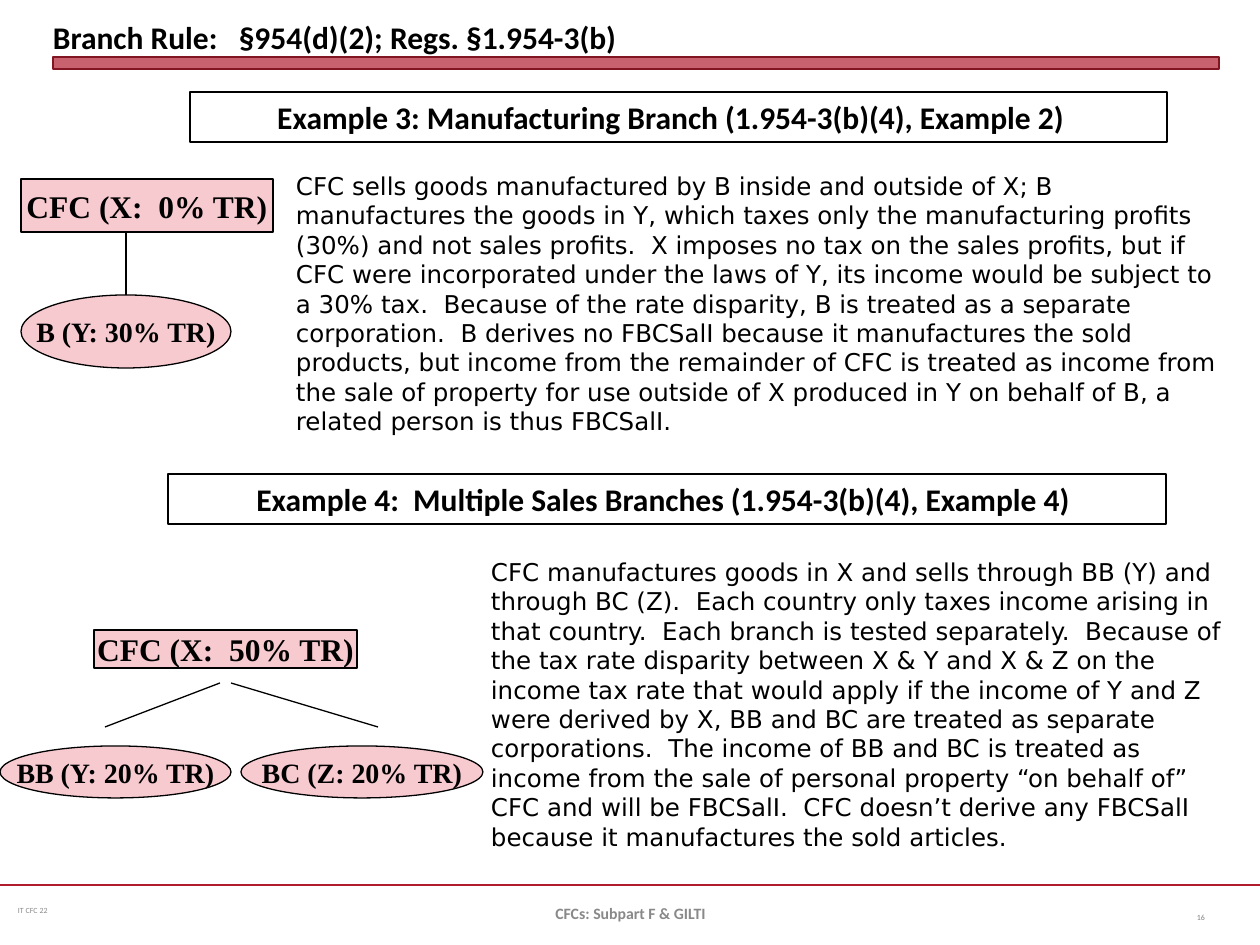
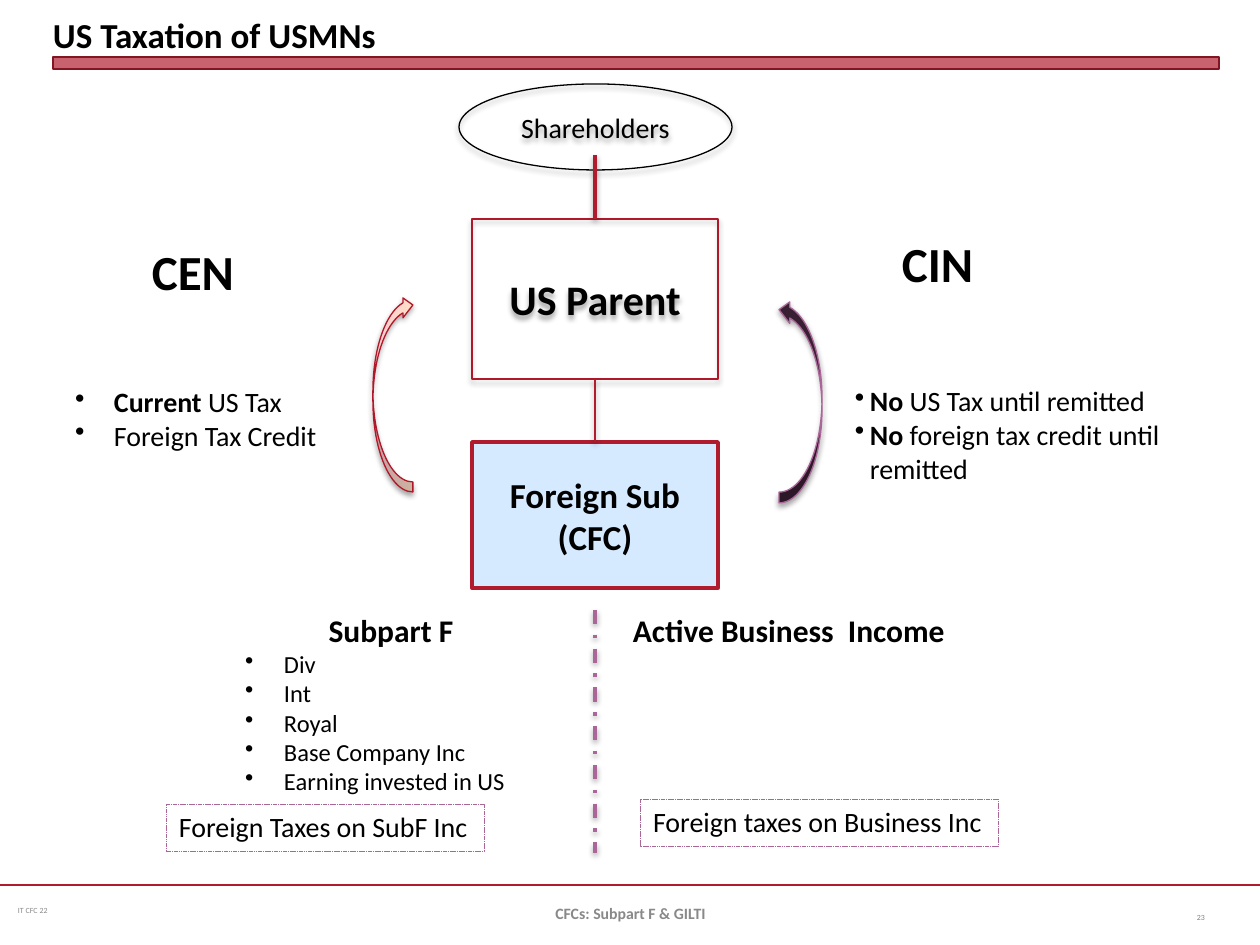
from dataclasses import dataclass
from typing import Any, NamedTuple, Optional

from lxml.etree import SubElement
from pptx import Presentation
from pptx.dml.color import RGBColor
from pptx.enum.dml import MSO_LINE
from pptx.enum.shapes import MSO_CONNECTOR, MSO_SHAPE
from pptx.enum.text import MSO_ANCHOR, PP_ALIGN
from pptx.oxml.ns import qn
from pptx.util import Emu, Pt

SCALE = 914400 / 126  # EMU per px


@dataclass(frozen=True)
class Theme:
    black: str = "000000"
    red: str = "B01C2E"
    edge: str = "821522"
    rim: str = "B0182A"
    pink: str = "F7CAD0"
    peach: str = "FFDFC8"
    blue: str = "D6EAFF"
    plum: str = "AB6699"
    dark: str = "381F31"
    gray: str = "898989"
    mid: str = "808080"
    sans: str = "Calibri"
    wide: str = "DejaVu Sans"
    serif: str = "Times New Roman"
    tiny: float = 4.5
    foot: int = 9
    small: int = 14
    body: int = 16
    head: int = 18
    large: int = 20
    huge: int = 24
    giant: int = 28


T = Theme()
LEFT, MID, RIGHT = PP_ALIGN.LEFT, PP_ALIGN.CENTER, PP_ALIGN.RIGHT
TOP, CENTER, BASE = MSO_ANCHOR.TOP, MSO_ANCHOR.MIDDLE, MSO_ANCHOR.BOTTOM
RECT, OVAL, ARROW = MSO_SHAPE.RECTANGLE, MSO_SHAPE.OVAL, MSO_SHAPE.CURVED_LEFT_ARROW


class Shade(NamedTuple):
    alpha: int
    blur: float
    drop: float


SOFT = Shade(35, 3.1, 1.8)
THIN = Shade(38, 3.1, 1.6)


class Pen(NamedTuple):
    color: str = T.black
    width: float = 0.75
    dash: Optional[MSO_LINE] = None


class Para(NamedTuple):
    text: str
    size: float = T.body
    bold: bool = False
    face: str = T.sans
    align: PP_ALIGN = LEFT
    color: str = T.black
    lead: str = ""  # bold words before the text
    dent: int = 0  # hanging indent of a bullet
    margin: int = 0


class Box(NamedTuple):
    at: tuple[int, int, int, int]
    paras: tuple[Para, ...] = ()
    kind: Optional[MSO_SHAPE] = None  # None gives a text box
    fill: tuple[str, ...] = ()  # two colours give a gradient
    pen: Optional[Pen] = None
    shade: Optional[Shade] = None
    anchor: MSO_ANCHOR = TOP
    wrap: bool = True
    pad: tuple[int, int, int, int] = (13, 6, 13, 6)
    flip: str = ""
    alpha: int = 100


def px(num: int) -> Emu:
    return Emu(round(num * SCALE))


def apply(item: Any, form: dict[str, Any]) -> None:
    for name, value in form.items():
        setattr(item, name, value)


def tint(form: Any, color: str) -> None:
    form.rgb = RGBColor.from_string(color)


def ink(line: Any, pen: Pen) -> None:
    tint(line.color, pen.color)
    line.width = Pt(pen.width)
    if pen.dash:
        line.dash_style = pen.dash


def cast(effects: Any, shade: Shade) -> None:
    """Add a shadow that falls straight down."""
    form = {"blurRad": Pt(shade.blur), "dist": Pt(shade.drop), "dir": 5400000, "rotWithShape": 0}
    outer = SubElement(effects, qn("a:outerShdw"), {k: str(v) for k, v in form.items()})
    color = SubElement(outer, qn("a:srgbClr"), val=T.black)
    SubElement(color, qn("a:alpha"), val=str(shade.alpha * 1000))


def write(frame: Any, box: Box) -> None:
    sides = ("margin_left", "margin_top", "margin_right", "margin_bottom")
    apply(frame, dict(zip(sides, map(px, box.pad))))
    apply(frame, {"word_wrap": box.wrap, "vertical_anchor": box.anchor})
    for num, para in enumerate(box.paras):
        part = frame.add_paragraph() if num else frame.paragraphs[0]
        part.alignment = para.align
        if para.dent:
            props = part._p.get_or_add_pPr()
            props.set("marL", str(px(para.margin or para.dent)))
            props.set("indent", str(-px(para.dent)))
            SubElement(props, qn("a:buChar"), char="•")
        for words, bold in ((para.lead, True), (para.text, para.bold)):
            if words:
                run = part.add_run()
                run.text = words
                apply(run.font, {"name": para.face, "size": Pt(para.size), "bold": bold})
                tint(run.font.color, para.color)


def paint(shape: Any, box: Box) -> None:
    shape.shadow.inherit = False
    if len(box.fill) == 2:
        shape.fill.gradient()
        shape.fill.gradient_angle = 0
        for stop, color in zip(shape.fill.gradient_stops, box.fill):
            tint(stop.color, color)
    elif box.fill:
        shape.fill.solid()
        tint(shape.fill.fore_color, box.fill[0])
    else:
        shape.fill.background()
    props = shape._element.spPr
    if box.alpha < 100:
        color = props.find(qn("a:solidFill")).find(qn("a:srgbClr"))
        SubElement(color, qn("a:alpha"), val=str(box.alpha * 1000))
    if box.pen:
        ink(shape.line, box.pen)
    else:
        shape.line.fill.background()
    if box.shade:
        cast(props.find(qn("a:effectLst")), box.shade)
    for way in box.flip:
        props.find(qn("a:xfrm")).set("flip" + way, "1")


def draw(slide: Any, box: Box) -> Any:
    place = map(px, box.at)
    if box.kind is None:
        shape = slide.shapes.add_textbox(*place)
    else:
        shape = slide.shapes.add_shape(box.kind, *place)
        paint(shape, box)
    if box.paras:
        write(shape.text_frame, box)
    return shape


def link(slide: Any, ends: tuple[int, int, int, int], pen: Pen = Pen(),
         shade: Optional[Shade] = None, start: Any = None, stop: Any = None) -> None:
    """Draw a line; start is left at its bottom, stop is met at its top."""
    line = slide.shapes.add_connector(MSO_CONNECTOR.STRAIGHT, *map(px, ends))
    ink(line.line, pen)
    effects = SubElement(line._element.spPr, qn("a:effectLst"))
    if shade:
        cast(effects, shade)
    if start:
        line.begin_connect(start, 2)
    if stop:
        line.end_connect(stop, 0)


def base(deck: Any, title: str, size: int, page: int) -> Any:
    """Start a slide with its title, band and footers."""
    slide = deck.slides.add_slide(deck.slide_layouts[6])
    link(slide, (0, 885, 1260, 885), Pen(T.red, 1.25))
    for box in (
        Box((10, 885, 325, 50), (Para("IT CFC 22", T.tiny, color=T.gray),),
            anchor=CENTER, pad=(8, 4, 8, 4)),
        Box((53, 57, 1166, 12), kind=RECT, fill=(T.red,), pen=Pen(T.edge, 0), alpha=69),
        Box((53, 6, 1166, 50), (Para(title, size, True),), anchor=BASE, pad=(0, 0, 0, 0)),
        Box((431, 888, 399, 50),
            (Para("CFCs: Subpart F & GILTI", T.foot, True, align=MID, color=T.gray),), anchor=CENTER),
        Box((1155, 892, 63, 50),
            (Para(str(page), T.tiny, align=RIGHT, color=T.mid),), anchor=CENTER),
    ):
        draw(slide, box)
    return slide


def node(slide: Any, at: tuple[int, int, int, int], text: str, kind: MSO_SHAPE) -> Any:
    """Draw a pink company box or branch oval."""
    size = T.head if kind == RECT else T.body
    para = Para(text, size, True, T.serif, MID)
    return draw(slide, Box(at, (para,), kind, (T.pink,), Pen(), anchor=CENTER, wrap=False))


def branch(deck: Any) -> None:
    slide = base(deck, "Branch Rule:   §954(d)(2); Regs. §1.954-3(b)", T.head, 16)

    # Example 3 chart
    node(slide, (21, 179, 252, 53), "CFC (X:  0% TR)", RECT)
    unit = node(slide, (21, 295, 210, 73), "B (Y: 30% TR)", OVAL)
    link(slide, (126, 232, 126, 295), stop=unit)

    # Example 4 chart
    node(slide, (94, 630, 263, 38), "CFC (X:  50% TR)", RECT)
    node(slide, (0, 746, 231, 52), "BB (Y: 20% TR)", OVAL)
    node(slide, (241, 746, 242, 52), "BC (Z: 20% TR)", OVAL)
    for ends in ((220, 683, 105, 727), (231, 683, 378, 727)):
        link(slide, ends)

    # Headings
    for at, text, right in (
        ((190, 92, 977, 50), "Example 3: Manufacturing Branch (1.954-3(b)(4), Example 2)", 28),
        ((168, 474, 998, 50), "Example 4:  Multiple Sales Branches (1.954-3(b)(4), Example 4)", 20),
    ):
        draw(slide, Box(at, (Para(text, T.head, True, align=MID),), RECT, pen=Pen(),
                        pad=(13, 6, right, 6)))

    # Facts and results
    for at, text in (
        ((283, 165, 955, 318),
         "CFC sells goods manufactured by B inside and outside of X; B manufactures the goods in Y, "
         "which taxes only the manufacturing profits (30%) and not sales profits.  X imposes no tax "
         "on the sales profits, but if CFC were incorporated under the laws of Y, its income would "
         "be subject to a 30% tax.  Because of the rate disparity, B is treated as a separate "
         "corporation.  B derives no FBCSalI because it manufactures the sold products, but income "
         "from the remainder of CFC is treated as income from the sale of property for use outside "
         "of X produced in Y on behalf of B, a related person is thus FBCSalI."),
        ((478, 551, 766, 310),
         "CFC manufactures goods in X and sells through BB (Y) and through BC (Z).  Each country "
         "only taxes income arising in that country.  Each branch is tested separately.  Because "
         "of the tax rate disparity between X & Y and X & Z on the income tax rate that would apply "
         "if the income of Y and Z were derived by X, BB and BC are treated as separate "
         "corporations.  The income of BB and BC is treated as income from the sale of personal "
         "property “on behalf of” CFC and will be FBCSalI.  CFC doesn’t derive any FBCSalI because "
         "it manufactures the sold articles."),
    ):
        draw(slide, Box(at, (Para(text, T.small, face=T.wide),)))


def groups(deck: Any) -> None:
    slide = base(deck, "US Taxation of USMNs", T.large, 23)

    # Chain of owners
    owner = draw(slide, Box((472, 219, 246, 160), (Para("US Parent", T.huge, True, align=MID),),
                            RECT, pen=Pen(T.rim), shade=SOFT, anchor=CENTER))
    names = tuple(Para(text, T.large, True, align=MID) for text in ("Foreign Sub", "(CFC)"))
    sub = draw(slide, Box((472, 442, 246, 146), names, RECT, (T.blue,), Pen(T.red, 2),
                          anchor=CENTER))
    draw(slide, Box((459, 84, 273, 86), (Para("Shareholders", align=MID),), OVAL,
                    pen=Pen(), shade=SOFT, anchor=CENTER))
    link(slide, (595, 379, 595, 442), Pen(T.red, 1), THIN, owner, sub)
    link(slide, (595, 155, 595, 219), Pen(T.red, 2), THIN, stop=owner)
    link(slide, (595, 610, 595, 853), Pen(T.plum, 2, MSO_LINE.DASH_DOT), THIN)

    # Kinds of income
    kinds = ("Div", "Int", "Royal", "Base Company Inc", "Earning invested in US")
    items = tuple(Para(text, T.small, dent=39, margin=40) for text in kinds)
    draw(slide, Box((231, 605, 320, 229),
                    (Para("Subpart F", T.head, True, align=MID),) + items))
    draw(slide, Box((620, 605, 441, 50), (Para("Active Business  Income", T.head, True),)))

    # Tax effects
    draw(slide, Box((62, 379, 310, 81), (Para(" US Tax", lead="Current", dent=39),
                                         Para("Foreign Tax Credit", dent=39))))
    draw(slide, Box((842, 378, 355, 115),
                    tuple(Para(text, lead="No", dent=15) for text in
                          (" US Tax until remitted", " foreign tax credit until remitted"))))
    for at, fill, color, flip in (
        ((373, 295, 40, 197), (T.peach, T.pink), T.rim, "HV"),
        ((779, 299, 43, 204), (T.dark,), T.plum, "V"),
    ):
        draw(slide, Box(at, (), ARROW, fill, Pen(color), SOFT, flip=flip))

    # Foreign taxes
    for at, text in (
        ((166, 804, 318, 47), "Foreign Taxes on SubF Inc"),
        ((640, 799, 358, 47), "Foreign taxes on Business Inc"),
    ):
        draw(slide, Box(at, (Para(text),), RECT,
                        pen=Pen(T.plum, 0.25, MSO_LINE.SQUARE_DOT), wrap=False))

    # Side labels
    for at, text in (((139, 236, 108, 72), "CEN"), ((889, 227, 98, 72), "CIN")):
        draw(slide, Box(at, (Para(text, T.giant, True),), wrap=False))


def main() -> None:
    deck = Presentation()
    apply(deck, {"slide_width": px(1260), "slide_height": px(945)})
    branch(deck)
    groups(deck)
    deck.save("out.pptx")


if __name__ == "__main__":
    main()
